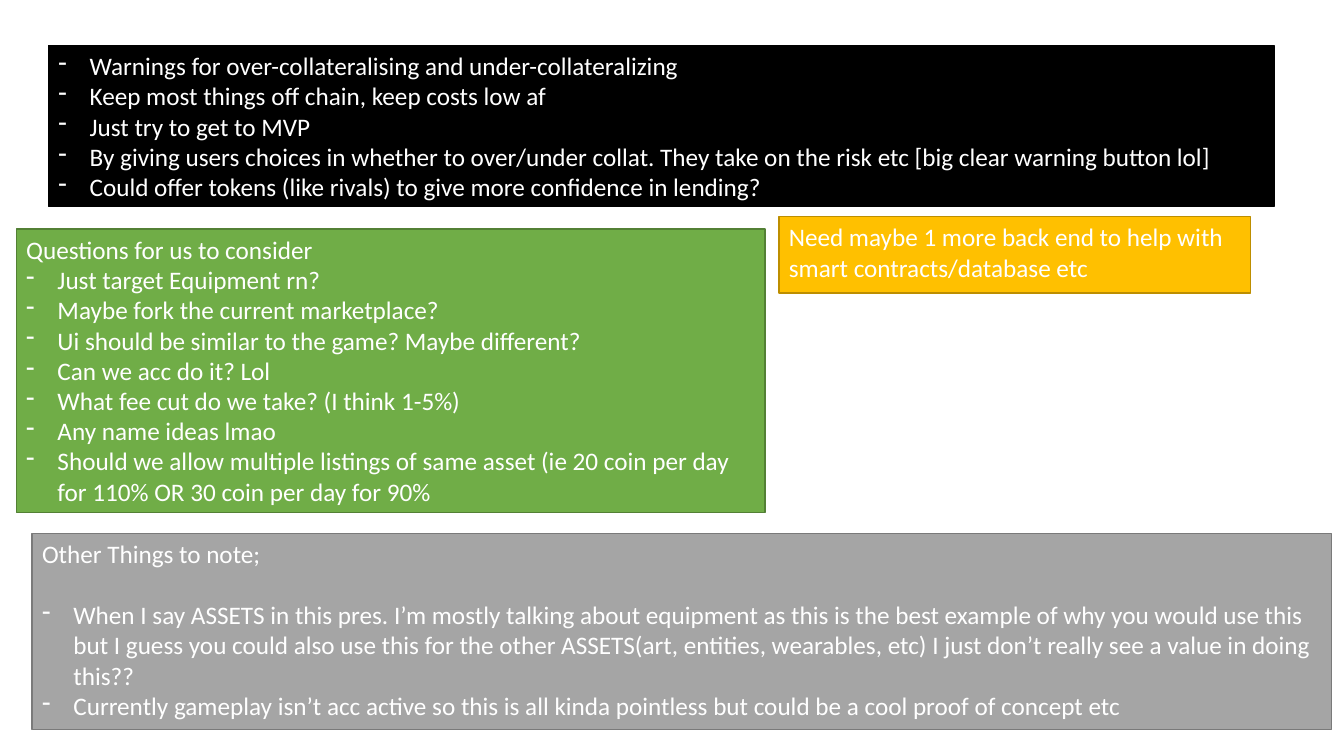
from pptx import Presentation
from pptx.dml.color import RGBColor as RGB
from pptx.enum.shapes import MSO_SHAPE as Kind
from pptx.enum.text import MSO_ANCHOR as Anchor, PP_ALIGN as Align
from pptx.oxml.ns import qn
from pptx.util import Cm, Pt
from lxml.etree import SubElement as Sub

THEME = {
    "font": "Calibri", "size": Pt(18), "text": "FFFFFF",
    "black": ("000000", "000000"),
    "green": ("70AD47", "538035"),
    "gold": ("FFC000", "BD8E00"),
    "grey": ("A5A5A5", "7A7A7A"),
}
FRAME = {
    "word_wrap": True, "vertical_anchor": Anchor.TOP,
    "margin_left": Cm(0.25), "margin_right": Cm(0.25),
    "margin_top": Cm(0.13), "margin_bottom": Cm(0.13),
}
FONT = {"name": THEME["font"], "size": THEME["size"]}
INDENT = Cm(0.79)

# Each box: colours, place in cm, heading, gap below heading, bullets
BOXES = [
    ("black", (1.22, 1.14, 30.89, 4.06), None, 0, [
        "Warnings for over-collateralising and under-collateralizing",
        "Keep most things off chain, keep costs low af",
        "Just try to get to MVP",
        "By giving users choices in whether to over/under collat. They take on the risk etc "
        "[big clear warning button lol]",
        "Could offer tokens (like rivals) to give more confidence in lending?",
    ]),
    ("green", (0.41, 5.77, 18.87, 7.14), "Questions for us to consider", 0, [
        "Just target Equipment rn?",
        "Maybe fork the current marketplace?",
        "Ui should be similar to the game? Maybe different?",
        "Can we acc do it? Lol",
        "What fee cut do we take? (I think 1-5%)",
        "Any name ideas lmao",
        "Should we allow multiple listings of same asset (ie 20 coin per day "
        "for 110% OR 30 coin per day for 90%",
    ]),
    ("gold", (19.63, 5.46, 11.89, 1.93),
     "Need maybe 1 more back end to help with smart contracts/database etc", 0, []),
    ("grey", (0.81, 13.44, 32.74, 4.95), "Other Things to note;", 22, [
        "When I say ASSETS in this pres. I’m mostly talking about equipment as this is the best "
        "example of why you would use this but I guess you could also use this for the other "
        "ASSETS(art, entities, wearables, etc) I just don’t really see a value in doing this??",
        "Currently gameplay isn’t acc active so this is all kinda pointless but could be "
        "a cool proof of concept etc",
    ]),
]


def add_dash(para):
    """Give the paragraph a hanging dash bullet."""
    props = para._p.get_or_add_pPr()
    props.set("marL", str(INDENT))
    props.set("indent", str(-INDENT))
    Sub(props, qn("a:buFontTx"))
    Sub(props, qn("a:buChar"), char="-")


deck = Presentation()
deck.slide_width, deck.slide_height = Cm(33.87), Cm(19.05)
slide = deck.slides.add_slide(deck.slide_layouts[6])

for tone, place, head, gap, points in BOXES:
    box = slide.shapes.add_shape(Kind.RECTANGLE, *map(Cm, place))
    box.shadow.inherit = False
    fill, edge = THEME[tone]
    box.fill.solid()
    box.fill.fore_color.rgb = RGB.from_string(fill)
    box.line.color.rgb = RGB.from_string(edge)
    box.line.width = Pt(1)

    frame = box.text_frame
    for key, value in FRAME.items():
        setattr(frame, key, value)

    lines = ([(head, False)] if head else []) + [(point, True) for point in points]
    for i, (text, dash) in enumerate(lines):
        para = frame.add_paragraph() if i else frame.paragraphs[0]
        para.alignment = Align.LEFT
        if gap and not dash:
            para.space_after = Pt(gap)
        if dash:
            add_dash(para)
        run = para.add_run()
        run.text = text
        for key, value in FONT.items():
            setattr(run.font, key, value)
        run.font.color.rgb = RGB.from_string(THEME["text"])

deck.save("out.pptx")
